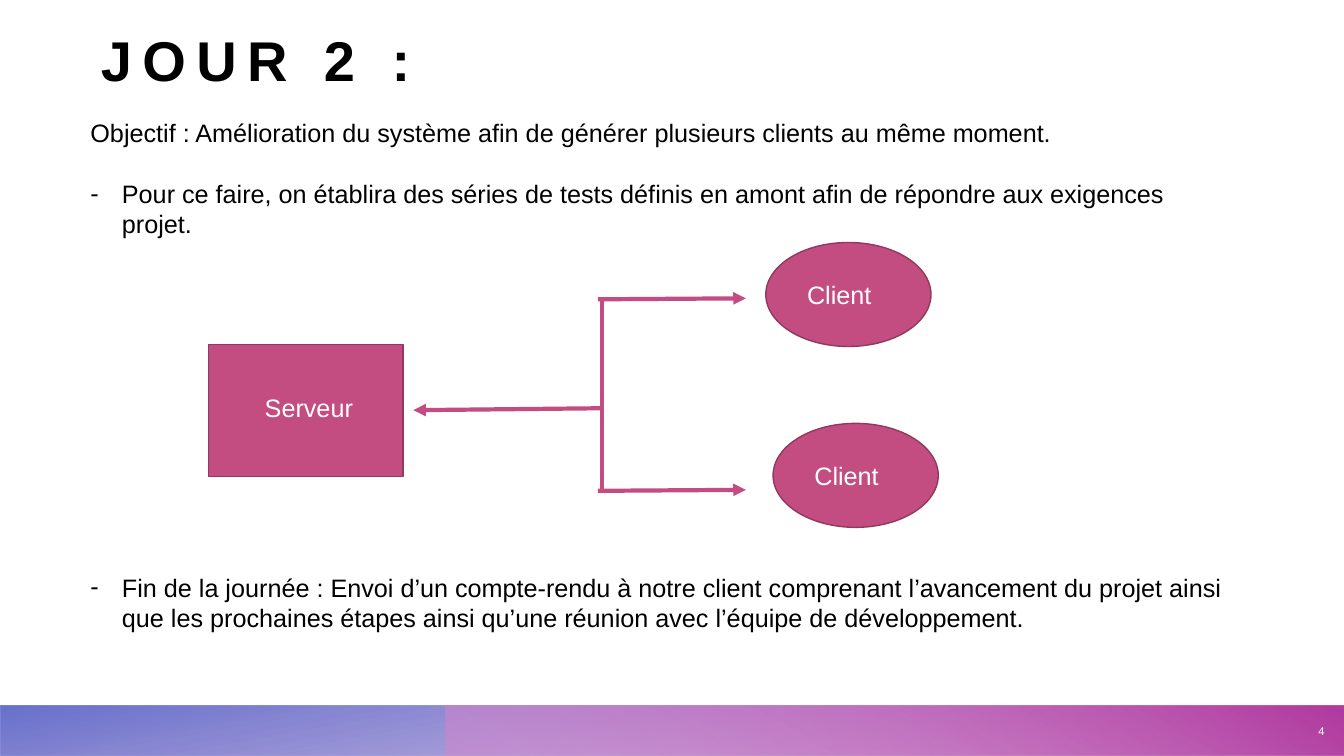
from lxml.etree import SubElement
from pptx import Presentation
from pptx.dml.color import RGBColor
from pptx.enum.shapes import MSO_CONNECTOR, MSO_SHAPE
from pptx.enum.text import MSO_ANCHOR, MSO_AUTO_SIZE, PP_ALIGN
from pptx.oxml.ns import qn
from pptx.util import Pt

BLACK = RGBColor(0x00, 0x00, 0x00)
WHITE = RGBColor(0xFF, 0xFF, 0xFF)
PINK = RGBColor(0xC3, 0x4D, 0x80)
PLUM = RGBColor(0x90, 0x39, 0x5F)
VIOLET = RGBColor(0x65, 0x41, 0xB4)
BLUE = RGBColor(0x4D, 0x59, 0xC3)
ORCHID = RGBColor(0xD6, 0x84, 0xCA)
MAGENTA = RGBColor(0xB1, 0x3B, 0xA0)


class SlideBuilder:
    font_name = "Arial"
    text_size = 18
    line_height = 21.5
    list_indent = 22.5

    def __init__(self, page):
        self.page = page

    def apply(self, target, formats):
        for name, value in formats.items():
            setattr(target, name, value)

    def place(self, box, left, top, width, height):
        self.apply(box, {"left": Pt(left), "top": Pt(top),
                         "width": Pt(width), "height": Pt(height)})

    def fill_paragraph(self, para, text, color, size=text_size, bold=False):
        para.text = text
        for span in para.runs:
            self.apply(span.font, {"name": self.font_name, "size": Pt(size), "bold": bold})
            span.font.color.rgb = color

    def title(self, text, area):
        box = self.page.shapes.title
        self.place(box, *area)
        self.apply(box.text_frame, {
            "margin_left": 0, "margin_top": 0, "margin_right": 0, "margin_bottom": 0,
            "vertical_anchor": MSO_ANCHOR.BOTTOM, "auto_size": MSO_AUTO_SIZE.NONE})
        para = box.text_frame.paragraphs[0]
        para.alignment = PP_ALIGN.LEFT
        self.fill_paragraph(para, text, BLACK, 40, True)
        para.runs[0].font._element.set("spc", "750")

    def body(self, items, area):
        box = self.page.placeholders[1]
        self.place(box, *area)
        frame = box.text_frame
        self.apply(frame, {"word_wrap": True, "auto_size": MSO_AUTO_SIZE.NONE,
                           "vertical_anchor": MSO_ANCHOR.TOP})
        for index, (text, bullet, gap) in enumerate(items):
            para = frame.add_paragraph() if index else frame.paragraphs[0]
            self.fill_paragraph(para, text, BLACK)
            self.apply(para, {"space_before": Pt(gap), "space_after": Pt(0),
                              "line_spacing": Pt(self.line_height)})
            indent = Pt(self.list_indent) if bullet else 0
            properties = para._element.get_or_add_pPr()
            properties.set("marL", str(indent))
            properties.set("indent", str(-indent))
            if bullet:
                SubElement(properties, qn("a:buChar")).set("char", bullet)
            else:
                SubElement(properties, qn("a:buNone"))

    def label(self, text, area, size=text_size, align=PP_ALIGN.LEFT, anchor=MSO_ANCHOR.TOP):
        box = self.page.shapes.add_textbox(*map(Pt, area))
        self.apply(box.text_frame, {"word_wrap": True, "vertical_anchor": anchor})
        para = box.text_frame.paragraphs[0]
        para.alignment = align
        self.fill_paragraph(para, text, WHITE, size)

    def shape(self, kind, area):
        shape = self.page.shapes.add_shape(kind, *map(Pt, area))
        shape.shadow.inherit = False
        return shape

    def node(self, kind, area, text, offset, label_width):
        shape = self.shape(kind, area)
        shape.fill.solid()
        shape.fill.fore_color.rgb = PINK
        shape.line.color.rgb = PLUM
        shape.line.width = Pt(1)
        left, top = area[0] + offset[0], area[1] + offset[1]
        self.label(text, (left, top, label_width, 29))

    def gradient_bar(self, area, stops, angle, rotation=0):
        bar = self.shape(MSO_SHAPE.RECTANGLE, area)
        bar.rotation = rotation
        bar.line.fill.background()
        bar.fill.gradient()
        bar.fill.gradient_angle = 360 - angle
        for stop, (position, color, _) in zip(bar.fill.gradient_stops, stops):
            stop.position = position
            stop.color.rgb = color
        properties = bar._element.spPr
        properties.find(qn("a:xfrm")).set("flipH", "1")
        for color, (_, _, opacity) in zip(properties.iter(qn("a:srgbClr")), stops):
            SubElement(color, qn("a:alpha")).set("val", str(opacity * 1000))

    def line(self, start, end, arrow=True):
        connector = self.page.shapes.add_connector(
            MSO_CONNECTOR.STRAIGHT, *map(Pt, start + end))
        connector.line.color.rgb = PINK
        connector.line.width = Pt(3)
        properties = connector._element.spPr
        if arrow:
            SubElement(properties.find(qn("a:ln")), qn("a:tailEnd")).set("type", "triangle")
        SubElement(properties, qn("a:effectLst"))


deck = Presentation()
deck.slide_width, deck.slide_height = Pt(960), Pt(540)
page = deck.slides.add_slide(deck.slide_layouts[1])
builder = SlideBuilder(page)

builder.gradient_bar((0, 504, 960, 36), [(0.14, VIOLET, 28), (1, BLUE, 85)], 100, 180)
builder.gradient_bar((318, 504, 642, 36), [(0.09, ORCHID, 55), (0.99, MAGENTA, 100)], 240)
builder.title("JOUR 2 :", (72, 16, 648, 50.4))
builder.body([
    ("Objectif : Amélioration du système afin de générer plusieurs clients au même moment.",
     None, 0),
    ("Pour ce faire, on établira des séries de tests définis en amont afin de répondre "
     "aux exigences\vprojet.", "-", 22),
    ("Fin de la journée : Envoi d’un compte-rendu à notre client comprenant l’avancement "
     "du projet ainsi que les prochaines étapes ainsi qu’une réunion avec l’équipe de "
     "développement.", "-", 238),
], (57.4, 80.6, 845.3, 378))
builder.label("4", (918.7, 504.7, 34.6, 35.3), 8, PP_ALIGN.RIGHT, MSO_ANCHOR.MIDDLE)

builder.node(MSO_SHAPE.RECTANGLE, (149, 246.2, 139, 94.3), "Serveur", (33, 30.3), 80.6)
for left, top in ((547, 173.2), (552.2, 302.4)):
    builder.node(MSO_SHAPE.OVAL, (left, top, 118, 74.3), "Client", (22.4, 22.7), 73.4)

trunk, upper, lower = 430, 213.8, 350.6
builder.line((trunk, 291.6), (295.2, 293))
builder.line((trunk, upper), (trunk, lower), arrow=False)
for level in (lower, upper):
    builder.line((trunk - 3, level), (532.8, level - 0.7))

deck.save("out.pptx")
